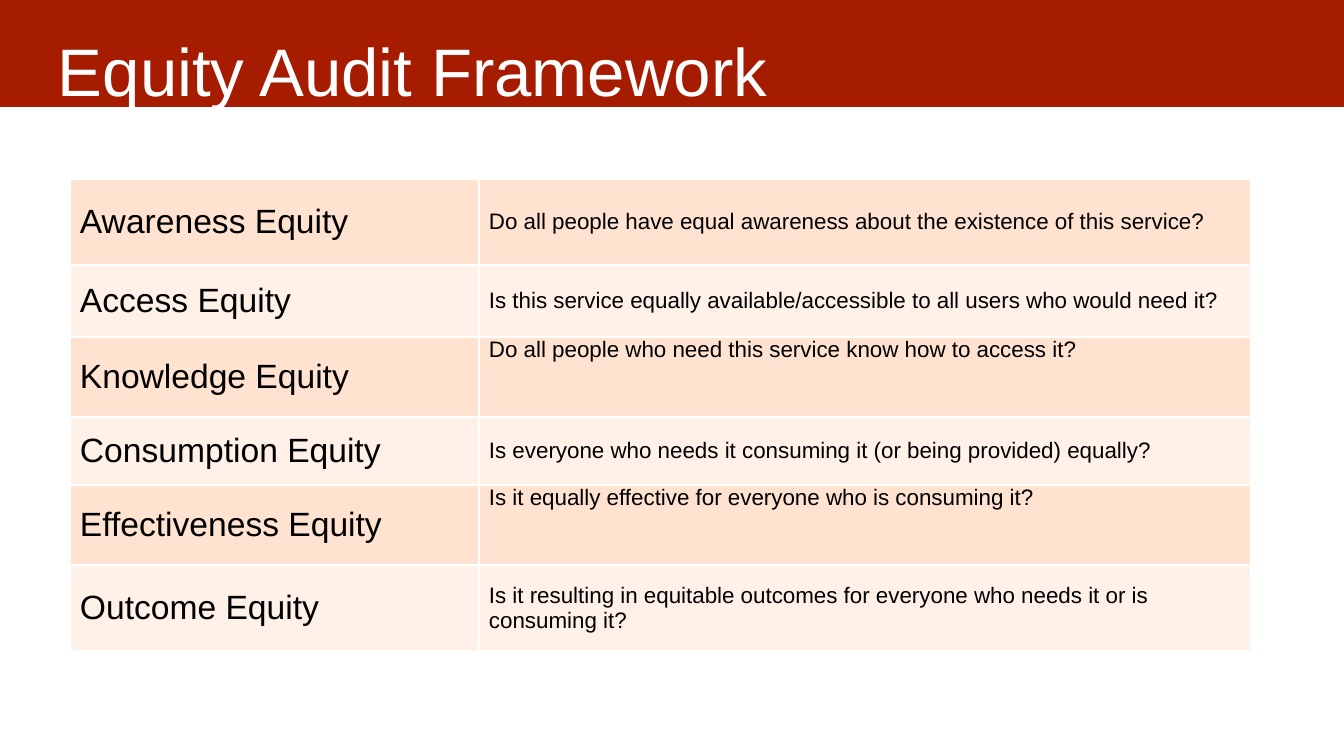
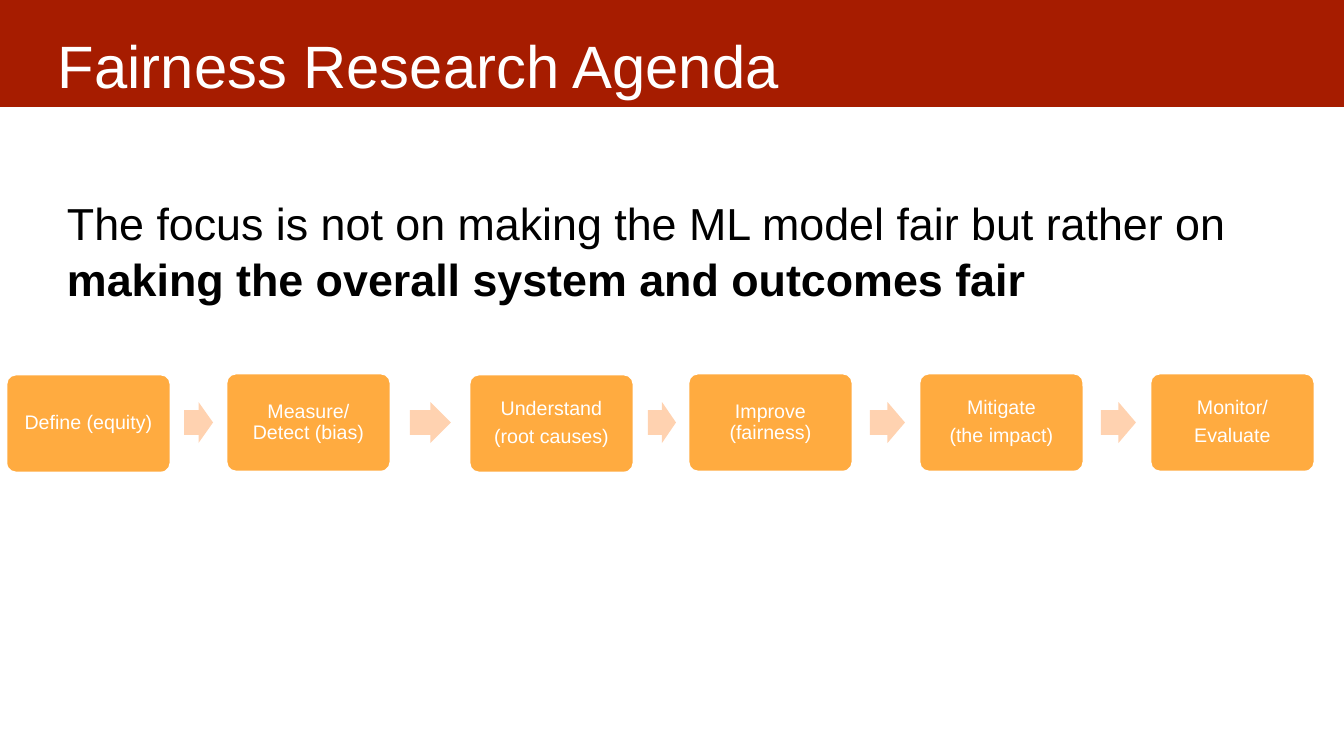
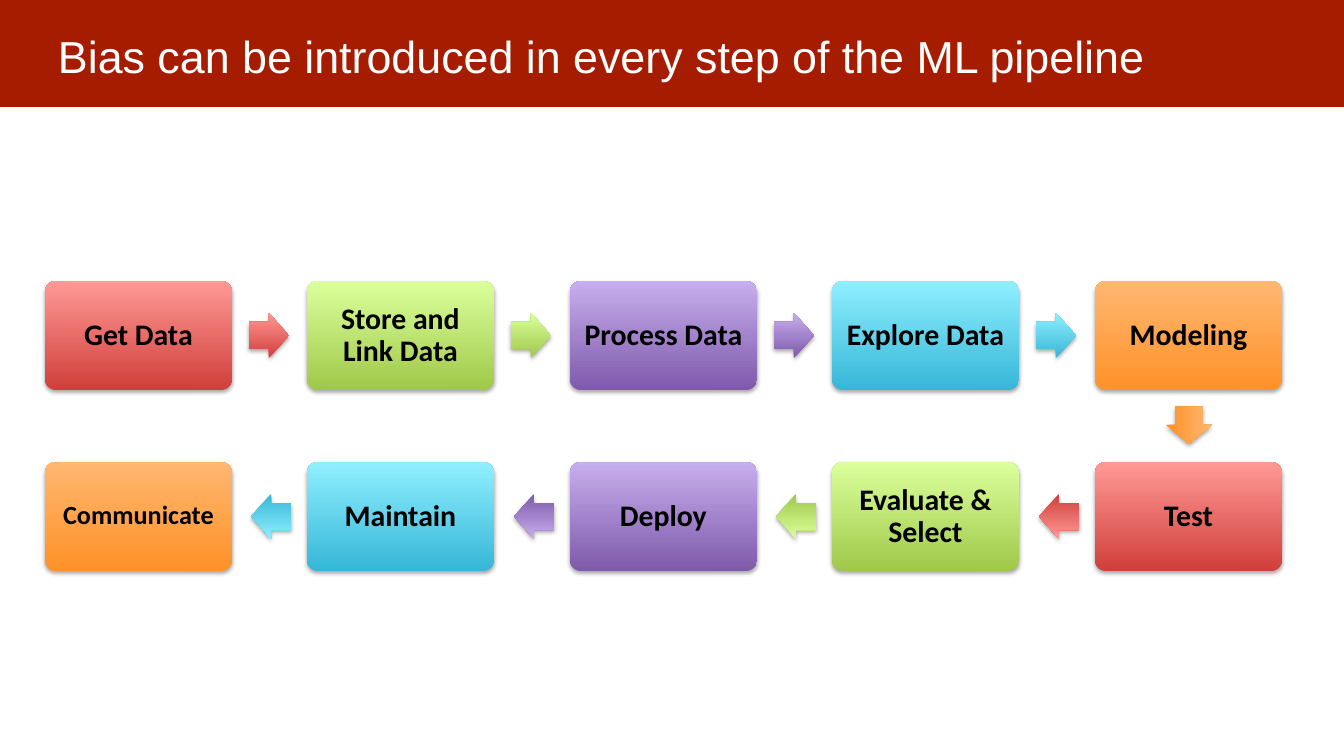
from lxml.etree import SubElement
from pptx import Presentation
from pptx.dml.color import RGBColor
from pptx.enum.shapes import MSO_SHAPE
from pptx.enum.text import MSO_ANCHOR, PP_ALIGN
from pptx.oxml import parse_xml
from pptx.oxml.ns import nsdecls, qn
from pptx.util import Pt

SCALE = 914400 / 100.8  # EMU in one px

WHITE = RGBColor(0xFF, 0xFF, 0xFF)
BLACK = RGBColor(0, 0, 0)
BRICK = RGBColor(0xA6, 0x1C, 0x00)
AMBER = RGBColor(0xFF, 0xAB, 0x40)
PEACH = RGBColor(0xFF, 0xD2, 0xB0)
ROW_FILLS = (RGBColor(0xFF, 0xE2, 0xCF), RGBColor(0xFF, 0xF1, 0xE8))

# Gradients as (bottom, top)
RED = (RGBColor(0xD0, 0x3F, 0x3B), RGBColor(0xFF, 0x99, 0x95))
GREEN = (RGBColor(0xA0, 0xC9, 0x4A), RGBColor(0xDB, 0xFF, 0x9C))
PURPLE = (RGBColor(0x7F, 0x5A, 0xAB), RGBColor(0xC7, 0xAE, 0xED))
CYAN = (RGBColor(0x36, 0xB7, 0xD7), RGBColor(0x90, 0xEF, 0xFF))
ORANGE = (RGBColor(0xFF, 0x92, 0x28), RGBColor(0xFF, 0xB7, 0x71))


def px(length):
    return round(length * SCALE)


class Deck:
    def __init__(self):
        self.file = Presentation()
        self.file.slide_width, self.file.slide_height = px(1344), px(756)
        self.page = None

    def new_page(self, title, size):
        """Start a slide with the red band and its title."""
        self.page = self.file.slides.add_slide(self.file.slide_layouts[6])
        self.shape(MSO_SHAPE.RECTANGLE, (-2, -4, 1347, 111), BRICK)
        self.text((45, 9, 1252, 84), title, size, WHITE, (13, 20, 13, 13))

    def fill_text(self, frame, text, size, color, font="Arial", bold=False):
        frame.text = text
        for para in frame.paragraphs:
            for span in para.runs:
                span.font.name, span.font.size = font, Pt(size)
                span.font.bold, span.font.color.rgb = bold, color

    def set_margins(self, target, margins):
        (target.margin_left, target.margin_top,
         target.margin_right, target.margin_bottom) = map(px, margins)

    def text(self, place, text, size, color, margins=(10, 5, 10, 5)):
        frame = self.page.shapes.add_textbox(*map(px, place)).text_frame
        frame.word_wrap = True
        frame.vertical_anchor = MSO_ANCHOR.TOP
        self.set_margins(frame, margins)
        self.fill_text(frame, text, size, color)
        return frame

    def shape(self, kind, place, fill, shadow=False):
        """Draw a preset shape; a pair of colours makes a gradient."""
        shape = self.page.shapes.add_shape(kind, *map(px, place))
        shape.shadow.inherit = False
        shape.line.fill.background()
        if isinstance(fill, RGBColor):
            shape.fill.solid()
            shape.fill.fore_color.rgb = fill
        else:
            shape.fill.gradient()
            shape.fill.gradient_angle = 90
            for stop, color, position in zip(shape.fill.gradient_stops, fill, (0, 1)):
                stop.color.rgb, stop.position = color, position
        if shadow:
            effects = shape.element.spPr.find(qn("a:effectLst"))
            outer = SubElement(effects, qn("a:outerShdw"), blurRad="40000",
                               dist="23000", dir="5400000", rotWithShape="0")
            black = SubElement(outer, qn("a:srgbClr"), val=str(BLACK))
            SubElement(black, qn("a:alpha"), val="35000")
        return shape

    def step(self, place, text, fill, size, color, margin, shadow=False,
             font="Arial", bold=False, gap=0):
        """Draw a rounded box with centred text."""
        box = self.shape(MSO_SHAPE.ROUNDED_RECTANGLE, place, fill, shadow)
        box.adjustments[0] = 0.1
        frame = box.text_frame
        frame.word_wrap = True
        frame.vertical_anchor = MSO_ANCHOR.MIDDLE
        self.set_margins(frame, [margin] * 4)
        self.fill_text(frame, text, size, color, font, bold)
        for para in frame.paragraphs:
            para.alignment = PP_ALIGN.CENTER
            para.line_spacing = 0.9
            para.space_after = Pt(gap)
        return box

    def arrow(self, place, fill, turn=0, shadow=False):
        arrow = self.shape(MSO_SHAPE.RIGHT_ARROW, place, fill, shadow)
        arrow.adjustments[0], arrow.adjustments[1] = 0.6, 0.5
        arrow.rotation = turn

    def table(self, left, top, widths, heights, rows, sizes):
        """Draw a table; each row ends with the anchor of its last cell."""
        place = left, top, sum(widths), sum(heights)
        table = self.page.shapes.add_table(len(rows), len(widths), *map(px, place)).table
        table.first_row = table.horz_banding = False
        for column, width in zip(table.columns, widths):
            column.width = px(width)
        for index, (*texts, anchor) in enumerate(rows):
            table.rows[index].height = px(heights[index])
            anchors = (MSO_ANCHOR.MIDDLE, anchor)
            for cell, text, size, where in zip(table.rows[index].cells, texts, sizes, anchors):
                self.fill_text(cell.text_frame, text, size, BLACK)
                cell.vertical_anchor = where
                self.set_margins(cell, (10, 0, 10, 0))
                cell.fill.solid()
                cell.fill.fore_color.rgb = ROW_FILLS[index % 2]
                self.cell_borders(cell)

    def cell_borders(self, cell):
        properties = cell._tc.get_or_add_tcPr()
        for index, side in enumerate(("lnL", "lnR", "lnT", "lnB")):
            properties.insert(index, parse_xml(
                f'<a:{side} {nsdecls("a")} w="12700"><a:solidFill>'
                f'<a:srgbClr val="{WHITE}"/></a:solidFill></a:{side}>'))


def equity_page(deck):
    deck.new_page("Equity Audit Framework", 48)
    middle, top = MSO_ANCHOR.MIDDLE, MSO_ANCHOR.TOP
    rows = (
        ("Awareness Equity",
         "Do all people have equal awareness about the existence of this service?", middle),
        ("Access Equity",
         "Is this service equally available/accessible to all users who would need it?", middle),
        ("Knowledge Equity",
         "Do all people who need this service know how to access it?", top),
        ("Consumption Equity",
         "Is everyone who needs it consuming it (or being provided) equally?", middle),
        ("Effectiveness Equity",
         "Is it equally effective for everyone who is consuming it?", top),
        ("Outcome Equity",
         "Is it resulting in equitable outcomes for everyone who needs it or is consuming it?",
         middle),
    )
    deck.table(70, 179, (409, 772), (86, 72, 80, 68, 80, 86), rows, (24, 16))


def agenda_page(deck):
    deck.new_page("Fairness Research Agenda", 42.7)
    steps = (
        (6, 374, "Define (equity)"),
        (226, 373, "Measure/\vDetect (bias)"),
        (469, 374, "Understand\n(root causes)"),
        (688, 373, "Improve (fairness)"),
        (919, 373, "Mitigate\n(the impact)"),
        (1150, 373, "Monitor/\nEvaluate"),
    )
    for left, top, text in steps:
        box = deck.step((left, top, 165, 99), text, AMBER, 14, WHITE, 6, gap=4.9)
        box.line.color.rgb, box.line.width = WHITE, Pt(2)
    for left, width in ((184, 29), (410, 41), (648, 28), (870, 35), (1101, 35)):
        deck.arrow((left, 402, width, 41), PEACH)

    # Key message
    frame = deck.text((57, 188, 1257, 119),
                      "The focus is not on making the ML model fair but rather on ", 32, BLACK)
    para = frame.paragraphs[0]
    para.line_spacing = 1.05
    span = para.add_run()
    span.text = "making the overall system and outcomes fair"
    span.font.name, span.font.size = "Arial", Pt(32)
    span.font.bold, span.font.color.rgb = True, BLACK


def pipeline_page(deck):
    deck.new_page("Bias can be introduced in every step of the ML pipeline", 32)
    lefts = [45 + column * 525 // 2 for column in range(5)]
    colors = (RED, GREEN, PURPLE, CYAN, ORANGE)
    # Each row: top, box lefts in order, offset and turn of its arrows, texts
    rows = (
        (281, lefts, 204, 0,
         ("Get Data", "Store and Link Data", "Process Data", "Explore Data", "Modeling")),
        (462, lefts[::-1], -56, 180,
         ("Test", "Evaluate & Select", "Deploy", "Maintain", "Communicate")),
    )
    for top, row_lefts, offset, turn, texts in rows:
        for left, text, color in zip(row_lefts, texts, colors):
            size = 18.7 if text == "Communicate" else 21.3
            deck.step((left, top, 187, 109), text, color, size, BLACK, 9,
                      shadow=True, font="Calibri", bold=True)
            if color is not ORANGE:
                deck.arrow((left + offset, top + 32, 40, 45), color, turn, shadow=True)
    # Turn from the first row to the second
    deck.arrow((1170, 402, 38, 46), ORANGE, 90, shadow=True)


def main():
    deck = Deck()
    equity_page(deck)
    agenda_page(deck)
    pipeline_page(deck)
    deck.file.save("out.pptx")


if __name__ == "__main__":
    main()
